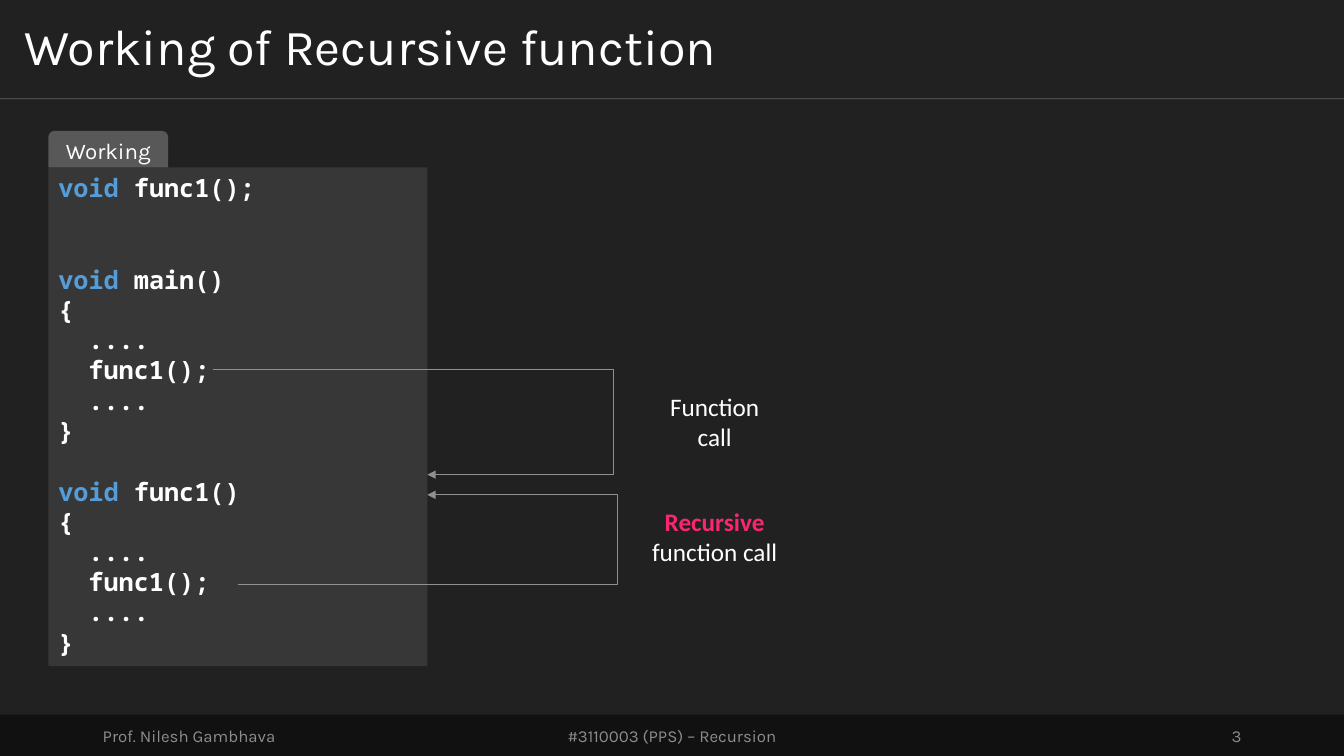
from lxml import etree
from pptx import Presentation
from pptx.dml.color import RGBColor
from pptx.enum.shapes import MSO_CONNECTOR, MSO_SHAPE
from pptx.enum.text import MSO_ANCHOR, MSO_AUTO_SIZE, PP_ALIGN
from pptx.oxml.ns import qn
from pptx.util import Cm, Pt

RECTANGLE = MSO_SHAPE.RECTANGLE
TAB_SHAPE = MSO_SHAPE.ROUND_2_SAME_RECTANGLE
STRAIGHT, ELBOW = MSO_CONNECTOR.STRAIGHT, MSO_CONNECTOR.ELBOW
LEFT, CENTER, RIGHT = PP_ALIGN.LEFT, PP_ALIGN.CENTER, PP_ALIGN.RIGHT
TOP, MIDDLE = MSO_ANCHOR.TOP, MSO_ANCHOR.MIDDLE
GROW = MSO_AUTO_SIZE.SHAPE_TO_FIT_TEXT

COLORS = {
    "background": "212121",
    "footer": "111111",
    "footer_text": "8D8D8D",
    "panel": "373737",
    "tab": "585858",
    "keyword": "569CD6",
    "accent": "F92672",
    "arrow": "909090",
    "white": "FFFFFF",
}
HEADING_FONT, LABEL_FONT, CODE_FONT = "Karla", "Calibri", "Noto Sans Mono"
WIDTH, HEIGHT = 33.87, 19.05
TITLE_HEIGHT = 2.49
CODE_LINE = 21.8  # height of one code line in points
CODE_INDENT = 0.76

# Keyword, rest of the line, indent level, blank lines above
BODY = [
    ("", "{", 0, 0),
    ("", "....", 1, 0),
    ("", "func1();", 1, 0),
    ("", "....", 1, 0),
    ("", "}", 0, 0),
]
CODE = [
    ("void", " func1();", 0, 0),
    ("void", " main()", 0, 2), *BODY,
    ("void", " func1()", 0, 1), *BODY,
]


def color(name):
    return RGBColor.from_string(COLORS[name])


def add_span(para, text, *, size=18, font=LABEL_FONT, fill="white", bold=False):
    span = para.add_run()
    span.text = text
    span.font.size = Pt(size)
    span.font.name = font
    span.font.bold = bold
    span.font.color.rgb = color(fill)


def set_frame(box, anchor=TOP, align=LEFT, insets=(0.25, 0.13)):
    """Format the text frame and return its first paragraph."""
    frame = box.text_frame
    frame.word_wrap = True
    frame.vertical_anchor = anchor
    frame.margin_left = frame.margin_right = Cm(insets[0])
    frame.margin_top = frame.margin_bottom = Cm(insets[1])
    para = frame.paragraphs[0]
    para.alignment = align
    return para


def add_box(page, left, top, width, height, **frame_format):
    box = page.shapes.add_textbox(Cm(left), Cm(top), Cm(width), Cm(height))
    return box, set_frame(box, **frame_format)


def add_block(page, kind, left, top, width, height, fill):
    block = page.shapes.add_shape(kind, Cm(left), Cm(top), Cm(width), Cm(height))
    block.shadow.inherit = False
    block.fill.solid()
    block.fill.fore_color.rgb = color(fill)
    block.line.fill.background()
    return block


def add_line(page, kind, start, end, fill):
    line = page.shapes.add_connector(kind, *(Cm(value) for value in start + end))
    line.line.width = Pt(0.5)
    line.line.color.rgb = color(fill)
    etree.SubElement(line.element.spPr, qn("a:effectLst"))
    return line


def add_call_arrow(page, start, end, bend):
    """Elbow arrow whose bend lies at a multiple of its width."""
    arrow = add_line(page, ELBOW, start, end, "arrow")
    guides = arrow.element.spPr.find(qn("a:prstGeom")).get_or_add_avLst()
    etree.SubElement(guides, qn("a:gd"), name="adj1", fmla=f"val {round(bend * 100000)}")
    outline = arrow.element.spPr.find(qn("a:ln"))
    etree.SubElement(outline, qn("a:tailEnd"), type="triangle")


def add_header(page):
    rule = add_line(page, STRAIGHT, (0, TITLE_HEIGHT), (WIDTH, TITLE_HEIGHT), "white")
    tint = next(rule.element.spPr.iter(qn("a:srgbClr")))
    etree.SubElement(tint, qn("a:alpha"), val="30000")
    _, para = add_box(page, 0, 0, WIDTH, TITLE_HEIGHT, anchor=MIDDLE, insets=(0.61, 0.3))
    para.line_spacing = 0.9
    add_span(para, "Working of Recursive function", size=36, font=HEADING_FONT)


def add_footer(page):
    add_block(page, RECTANGLE, 0, 18.01, WIDTH, 1.04, "footer")
    for text, left, width, align in [
        ("Prof. Nilesh Gambhava", 2.34, 7.62, LEFT),
        ("#3110003 (PPS) – Recursion", 11.22, 11.43, CENTER),
        ("3", 23.92, 7.62, RIGHT),
    ]:
        _, para = add_box(page, left, 18.03, width, 1.02, anchor=MIDDLE, align=align)
        add_span(para, text, size=12, font=HEADING_FONT, fill="footer_text")


def add_code(page):
    panel = add_block(page, RECTANGLE, 1.22, 4.22, 9.55, 12.57, "panel")
    para = set_frame(panel)
    panel.text_frame.auto_size = GROW
    for number, (keyword, rest, level, blanks) in enumerate(CODE):
        if number:
            para = panel.text_frame.add_paragraph()
            para.alignment = LEFT
        para.space_before = Pt(blanks * CODE_LINE)
        para._p.get_or_add_pPr().set("marL", str(Cm(level * CODE_INDENT)))
        if keyword:
            add_span(para, keyword, font=CODE_FONT, fill="keyword", bold=True)
        add_span(para, rest, font=CODE_FONT, bold=True)


def add_tab(page):
    tab = add_block(page, TAB_SHAPE, 1.22, 3.3, 3.02, 0.92, "tab")
    para = set_frame(tab, anchor=MIDDLE, align=CENTER, insets=(0.25, 0))
    add_span(para, "Working", size=16, font=HEADING_FONT)


def add_label(page, left, top, width, spans):
    box, para = add_box(page, left, top, width, 1.8, align=CENTER)
    box.text_frame.auto_size = GROW
    for text, span_format in spans:
        add_span(para, text, **span_format)


def main():
    deck = Presentation()
    deck.slide_width, deck.slide_height = Cm(WIDTH), Cm(HEIGHT)
    page = deck.slides.add_slide(deck.slide_layouts[6])
    page.background.fill.solid()
    page.background.fill.fore_color.rgb = color("background")

    # Frame of the slide
    add_header(page)
    add_footer(page)

    # Code panel
    add_code(page)
    add_tab(page)

    # Calls and their labels
    add_call_arrow(page, (5.38, 9.3), (10.77, 11.96), 1.87)
    add_call_arrow(page, (5.99, 14.73), (10.77, 12.47), 2)
    add_label(page, 16.46, 9.73, 3.1, [("Function call", {})])
    add_label(page, 16.08, 12.62, 3.86, [
        ("Recursive", {"fill": "accent", "bold": True}),
        (" function call", {}),
    ])
    deck.save("out.pptx")


if __name__ == "__main__":
    main()
